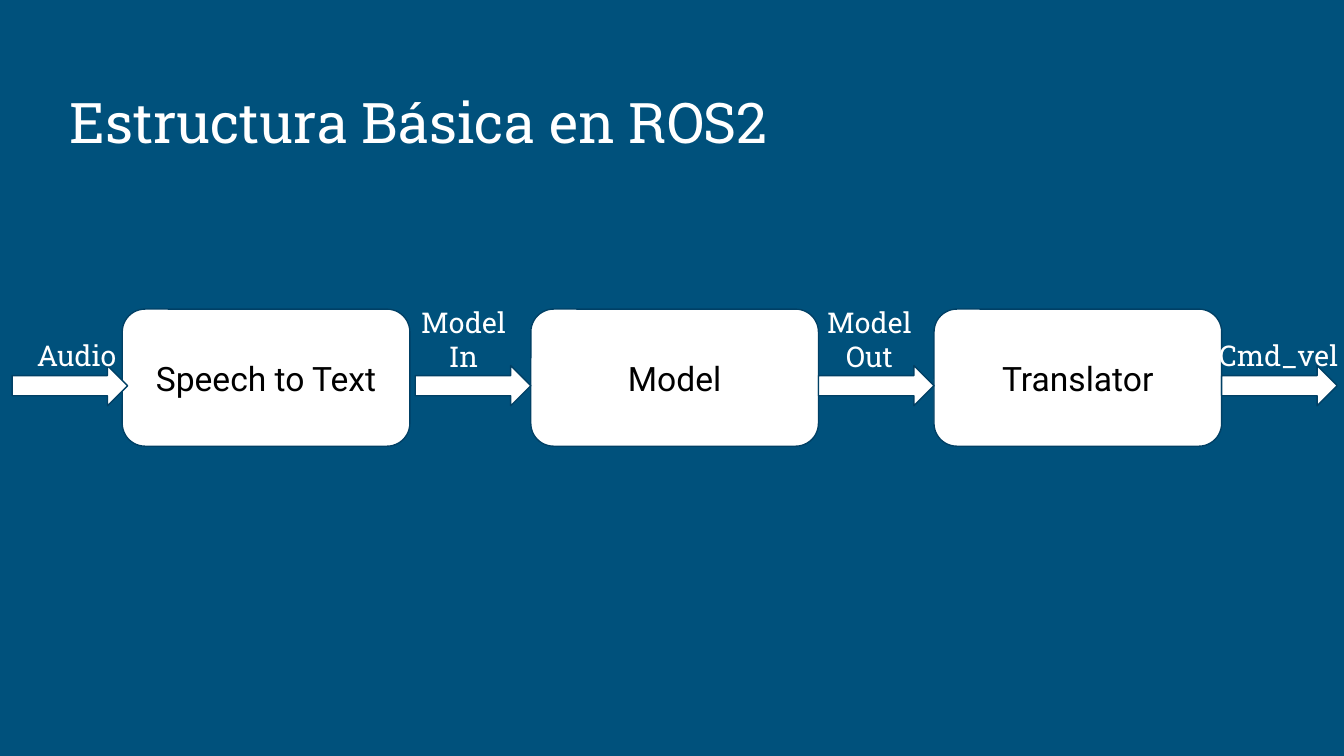
from dataclasses import dataclass

from pptx import Presentation
from pptx import util as u
from pptx.dml.color import RGBColor
from pptx.enum import shapes, text


@dataclass(frozen=True)
class Theme:
    background: RGBColor = RGBColor(0x00, 0x51, 0x7C)
    fill: RGBColor = RGBColor(0xFF, 0xFF, 0xFF)
    outline: RGBColor = RGBColor(0x00, 0x40, 0x65)
    light_text: RGBColor = RGBColor(0xFF, 0xFF, 0xFF)
    dark_text: RGBColor = RGBColor(0x00, 0x00, 0x00)
    heading_font: str = "Roboto Slab"
    body_font: str = "Roboto"
    title_size: float = 30
    node_size: float = 18
    label_size: float = 15.3


THEME = Theme()
NODES = [("Speech to Text", 0.91), ("Model", 3.95), ("Translator", 6.95)]
ARROWS = [0.09, 3.09, 6.09, 9.09]
# Text, left, top, width, alignment
LABELS = [
    ("Audio", 0.04, 0.12, 1.06, text.PP_ALIGN.CENTER),
    ("Model In", 2.92, 0.13, 1.06, text.PP_ALIGN.CENTER),
    ("Model Out", 5.94, 0.13, 1.06, text.PP_ALIGN.CENTER),
    ("Cmd_vel", 8.97, 0.12, 1.29, text.PP_ALIGN.LEFT),
]


def inches(*lengths):
    return [u.Inches(length) for length in lengths]


def write(sp, content, font, size, color, anchor, align):
    tf = sp.text_frame
    frame_format = {"word_wrap": True, "auto_size": text.MSO_AUTO_SIZE.NONE,
                    "vertical_anchor": anchor}
    for side in ("left", "top", "right", "bottom"):
        frame_format[f"margin_{side}"] = u.Inches(0.1)
    for name, value in frame_format.items():
        setattr(tf, name, value)
    p = tf.paragraphs[0]
    p.alignment, p.line_spacing = align, 1.0
    r = p.add_run()
    r.text = content
    for name, value in {"name": font, "size": u.Pt(size)}.items():
        setattr(r.font, name, value)
    r.font.color.rgb = color


def add_block(s, kind, box):
    """Add a filled, outlined shape without a shadow."""
    sp = s.shapes.add_shape(kind, *inches(*box))
    sp.shadow.inherit = False
    sp.fill.solid()
    sp.fill.fore_color.rgb = THEME.fill
    sp.line.color.rgb = THEME.outline
    sp.line.width = u.Pt(0.75)
    return sp


def add_title(s, box, content):
    sp = s.shapes.title
    sp.left, sp.top, sp.width, sp.height = inches(*box)
    write(sp, content, THEME.heading_font, THEME.title_size, THEME.light_text,
          text.MSO_ANCHOR.BOTTOM, text.PP_ALIGN.LEFT)


def add_pipeline(s, box):
    """Draw the nodes, then the arrows between them and the arrow labels."""
    left, top, _, height = box
    for content, x in NODES:
        sp = add_block(s, shapes.MSO_SHAPE.ROUNDED_RECTANGLE,
                       (left + x, top, 2.14, height))
        write(sp, content, THEME.body_font, THEME.node_size, THEME.dark_text,
              text.MSO_ANCHOR.MIDDLE, text.PP_ALIGN.CENTER)
    for x in ARROWS:
        add_block(s, shapes.MSO_SHAPE.RIGHT_ARROW,
                  (left + x, top + 0.42, 0.86, 0.3))
    for content, x, y, width, align in LABELS:
        sp = s.shapes.add_textbox(*inches(left + x, top + y, width, 0.45))
        write(sp, content, THEME.heading_font, THEME.label_size,
              THEME.light_text, text.MSO_ANCHOR.BOTTOM, align)


def main():
    prs = Presentation()
    prs.slide_width, prs.slide_height = inches(10, 10 * 9 / 16)
    s = prs.slides.add_slide(prs.slide_layouts.get_by_name("Title Only"))
    s.background.fill.solid()
    s.background.fill.fore_color.rgb = THEME.background
    add_title(s, (0.42, 0.5, 9.15, 0.75), "Estructura Básica en ROS2")
    add_pipeline(s, (0, 2.3, 10, 1.02))
    prs.save("out.pptx")


if __name__ == "__main__":
    main()
